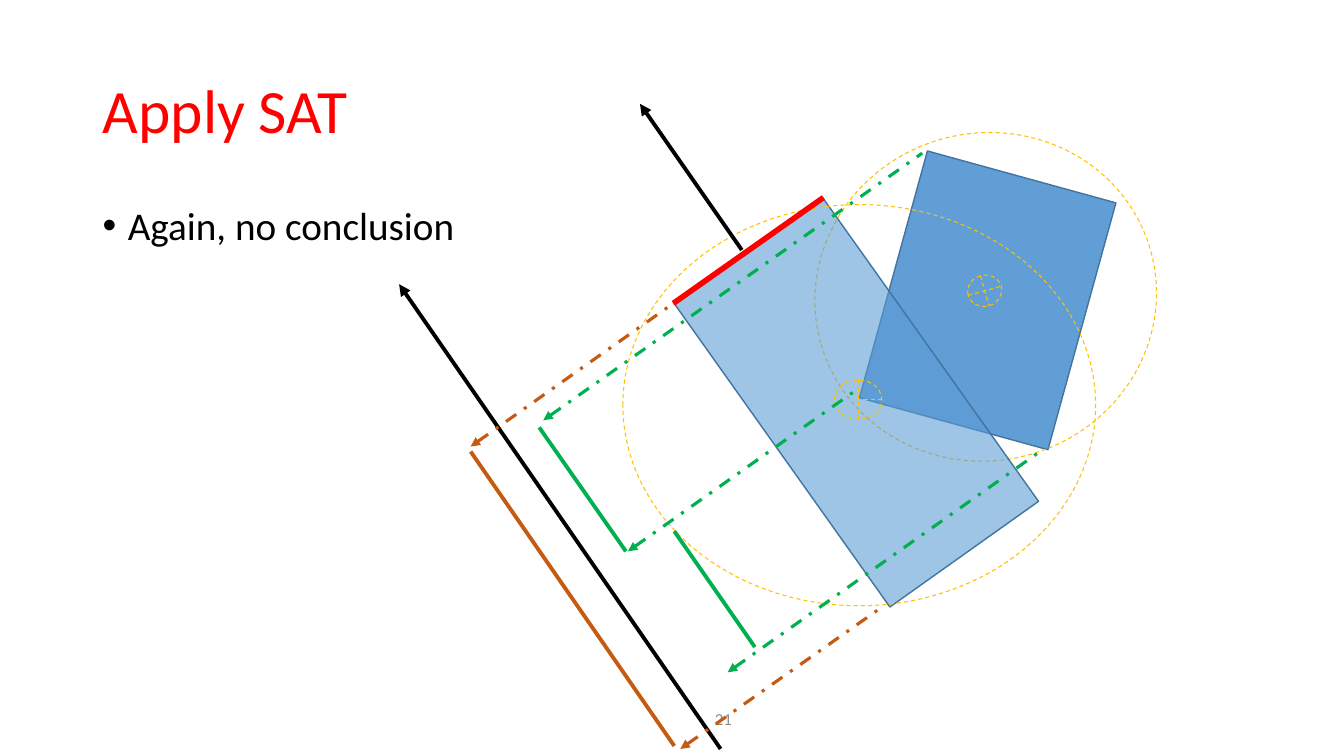
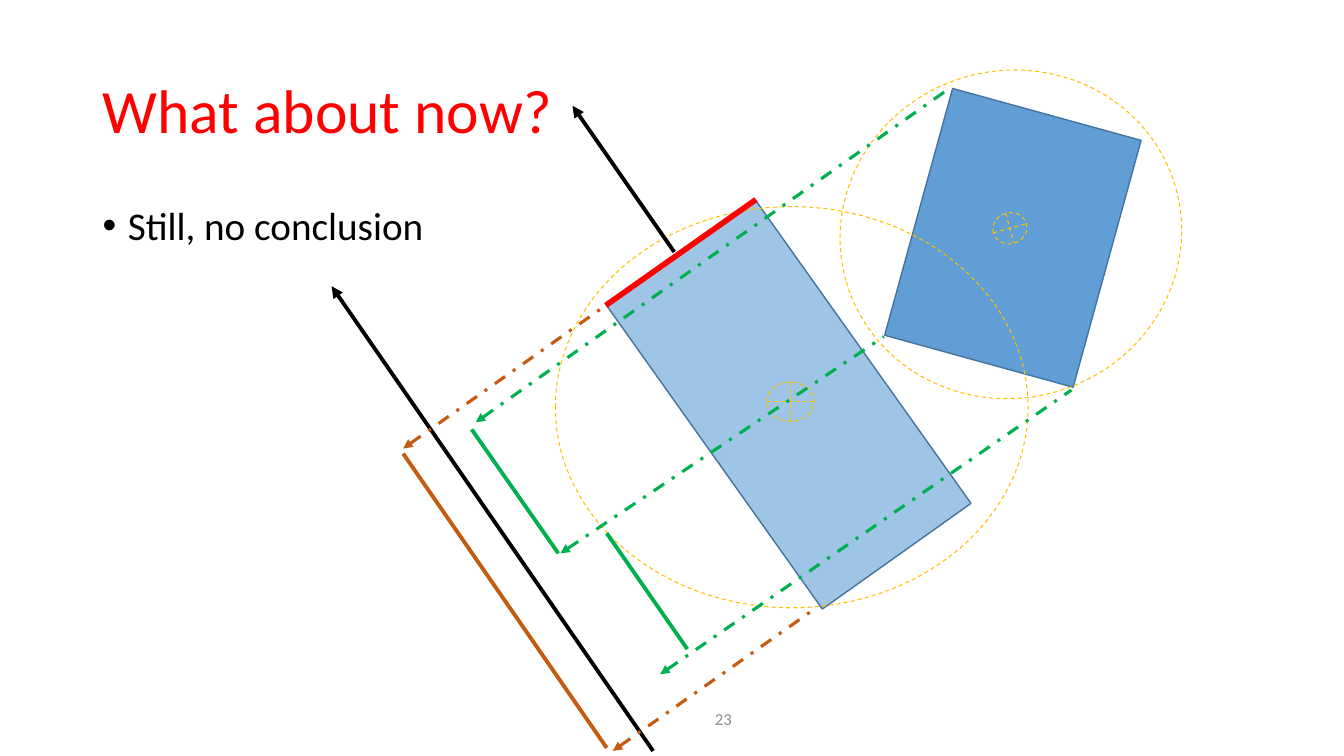
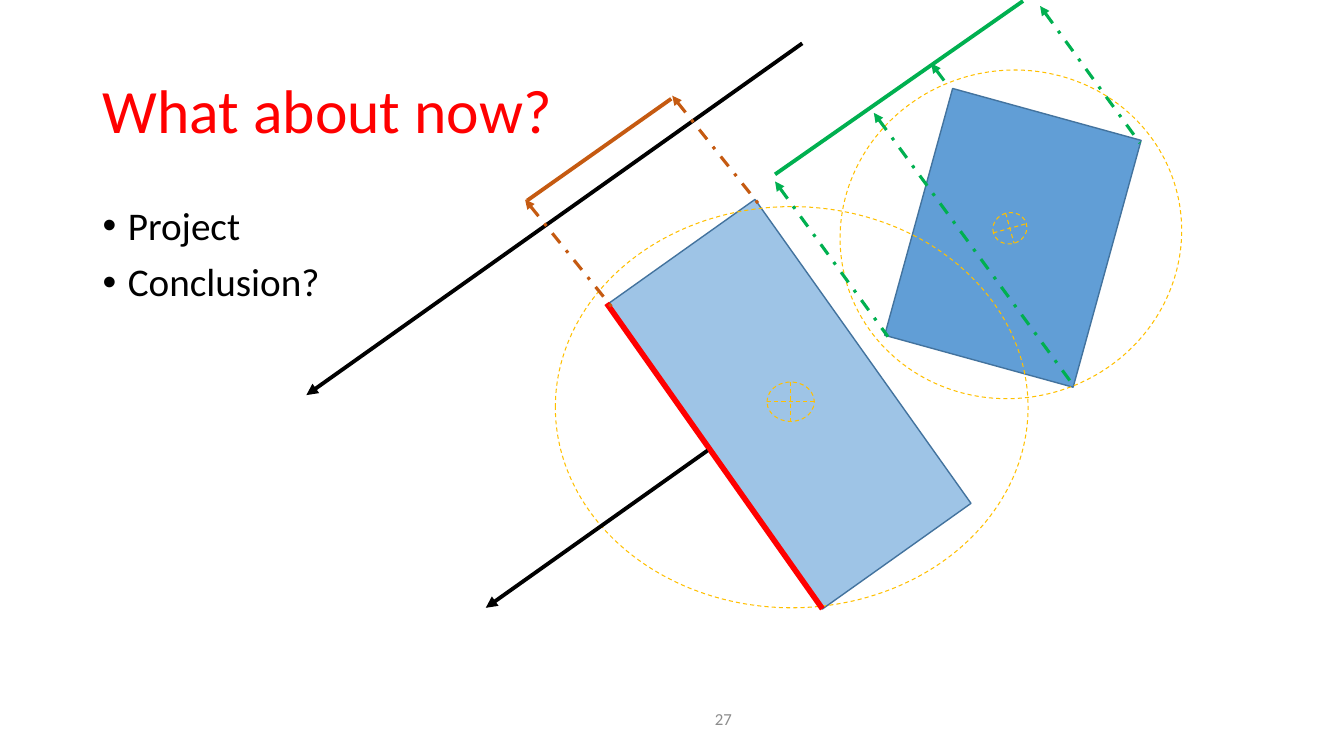
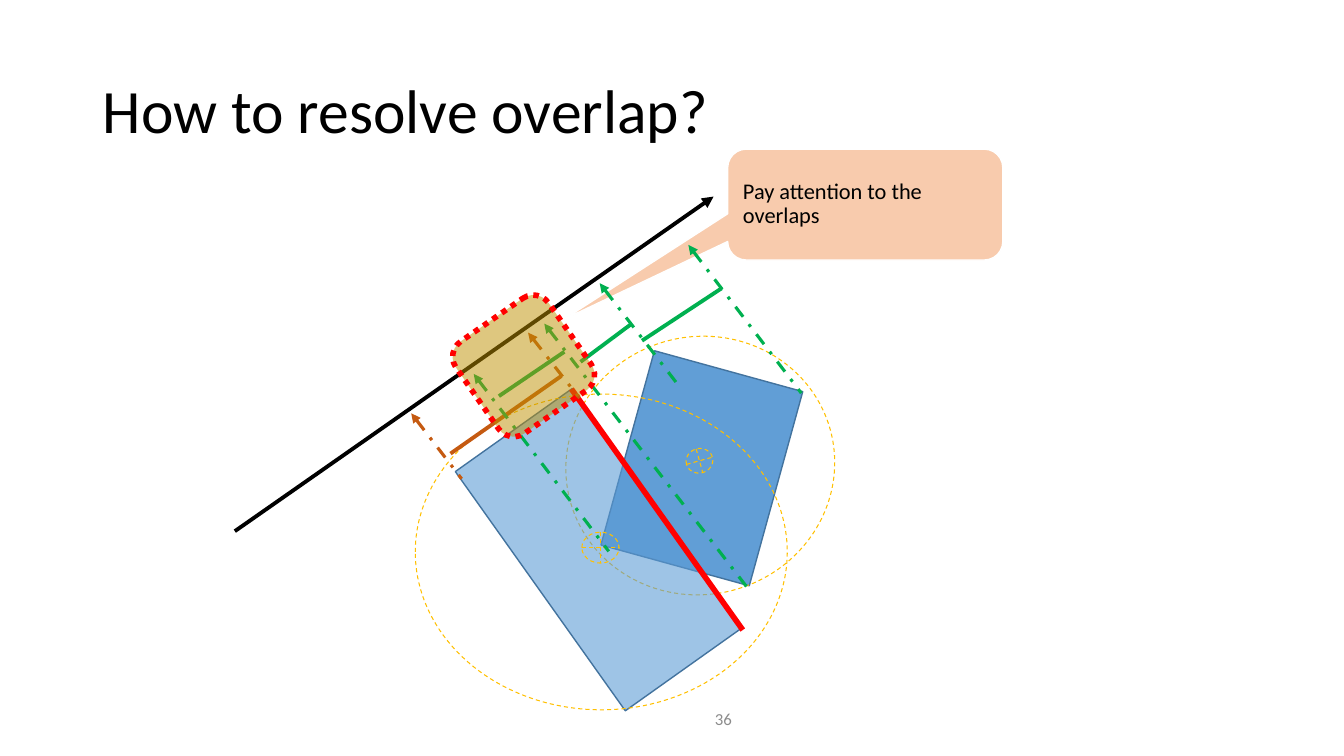
from pptx import Presentation
from pptx.dml.color import RGBColor
from pptx.enum.dml import MSO_LINE
from pptx.enum.shapes import MSO_CONNECTOR, MSO_SHAPE
from pptx.enum.text import MSO_ANCHOR, MSO_AUTO_SIZE, PP_ALIGN
from pptx.oxml.ns import qn
from pptx.util import Cm, Pt
from lxml import etree

FONT = "Calibri"
BLACK, RED, GREEN, BROWN = "000000", "FF0000", "00B050", "C55A11"
BLUE, NAVY, GOLD, GREY = "5B9BD5", "43739E", "FFC000", "8C8C8C"
OCHRE, PEACH, WHITE = "BF9000", "F8CBAD", "FFFFFF"

# Line styles: colour, width, dash, arrowhead
DASH_DOT = MSO_LINE.DASH_DOT
LINES = {
    "edge": (RED, 4, None, None),
    "axis": (BLACK, 2.75, None, "tailEnd"),
    "light ray": (BROWN, 2.25, DASH_DOT, "headEnd"),
    "light span": (BROWN, 2.75, None, None),
    "dark ray": (GREEN, 2.25, DASH_DOT, "headEnd"),
    "dark span": (GREEN, 2.75, None, None),
}

# Bodies: shape, left, top, width, height from the bounding circle, rotation; fill opacity
DARK_BODY = ([(MSO_SHAPE.RECTANGLE, 0.75, 0.39, 1.94, 2.54, 15.4),
              (MSO_SHAPE.OVAL, 0, 0, 3.4, 3.25, -15.6),
              (MSO_SHAPE.FLOWCHART_OR, 1.52, 1.41, 0.34, 0.31, -15.6)], 96)
LIGHT_BODY = ([(MSO_SHAPE.RECTANGLE, 1.41, 0.11, 1.81, 3.7, -35.4),
               (MSO_SHAPE.OVAL, 0, 0, 4.69, 3.98, 0),
               (MSO_SHAPE.FLOWCHART_OR, 2.1, 1.74, 0.47, 0.39, 0)], 59)


def short_edge_lines(x, y, corners):
    """Projection on the short edge's normal; rays run from the dark corners."""
    tips = [(0.05, 3.44), (1.04, 4.64), (-0.79, 2.14)]
    fixed = [
        ("edge", 0.5, 0.98, 1.99, -0.07),
        ("axis", 1.18, 0.45, 0.17, -1),
        ("axis", 0.97, 5.4, -2.22, 0.79),
        ("light ray", -1.51, 2.4, 0.5, 0.98),
        ("light ray", 0.57, 5.4, 2.56, 4),
        ("light span", 0.51, 5.37, -1.51, 2.45),
        ("dark span", 1.31, 4.39, 0.51, 3.24),
        ("dark span", 0.03, 3.44, -0.83, 2.21),
    ]
    return ([(kind, x + a, y + b, x + c, y + d) for kind, a, b, c, d in fixed]
            + [("dark ray", x + a, y + b, c, d)
               for (a, b), (c, d) in zip(tips, corners)])


# Content (places in inches)
SLIDES = [
    dict(title="Apply SAT", color=RED, number="21", bullets=["Again, no conclusion"],
         dark=(8.08, 1.32), light=(6.18, 2.03), scale=1,
         lines=short_edge_lines(6.18, 2.03, [(8.48, 3.88), (10.36, 4.45), (9.15, 1.52)])),
    dict(title="What about now?", color=RED, number="23", bullets=["Still, no conclusion"],
         dark=(8.33, 0.7), light=(5.51, 2.05), scale=1,
         lines=short_edge_lines(5.51, 2.05, [(8.77, 3.34), (10.63, 3.87), (9.43, 0.87)])),
    dict(title="What about now?", color=RED, number="27", bullets=["Project", "Conclusion?"],
         dark=(8.33, 0.7), light=(5.51, 2.05), scale=1,
         lines=[("edge", 8.16, 6.04, 6.02, 3.01),
                ("axis", 7.02, 4.47, 4.82, 6.03),
                ("axis", 7.96, 0.43, 3.04, 3.92),
                ("light ray", 5.21, 1.98, 6.09, 3.07),
                ("light span", 5.23, 1.99, 6.66, 0.98),
                ("light ray", 6.67, 0.95, 7.54, 2.04),
                ("dark ray", 7.69, 1.8, 8.81, 3.34),
                ("dark span", 10.15, 0.01, 7.69, 1.73),
                ("dark ray", 8.67, 1.12, 10.64, 3.81),
                ("dark ray", 9.24, 0.63, 9.42, 0.87),
                ("dark ray", 10.32, 0.06, 11.31, 1.42)]),
    dict(title="How to resolve overlap?", color=BLACK, number="36", bullets=[],
         dark=(5.61, 3.34), light=(4.12, 3.91), scale=0.787,
         callout="Pay attention to the overlaps",
         lines=[("edge", 5.67, 3.86, 7.37, 6.25),
                ("light ray", 4.08, 4.1, 4.58, 4.75),
                ("light span", 5.57, 3.73, 4.47, 4.5),
                ("dark ray", 5.95, 2.81, 6.76, 3.86),
                ("dark span", 6.37, 3.38, 7.16, 2.86),
                ("axis", 2.33, 5.27, 7.08, 1.95),
                ("light ray", 5.24, 3.3, 5.75, 3.95),
                ("dark ray", 6.83, 2.43, 7.95, 3.9),
                ("dark ray", 4.7, 3.71, 6.04, 5.47),
                ("dark ray", 5.4, 3.21, 7.43, 5.85),
                ("dark span", 5.76, 3.59, 6.27, 3.21),
                ("dark span", 4.95, 3.93, 5.6, 3.49)]),
]


def cm(*inches):
    return [Cm(v * 2.54) for v in inches]


def rgb(color):
    return RGBColor.from_string(color)


def add_sub(parent, tag, **attrs):
    return etree.SubElement(parent, qn(tag), attrs)


def write(tf, texts, size, color, align=PP_ALIGN.LEFT, spacing=0.9,
          anchor=MSO_ANCHOR.MIDDLE, bullet=False):
    tf.word_wrap = True
    tf.auto_size = MSO_AUTO_SIZE.NONE
    tf.vertical_anchor = anchor
    for i, text in enumerate(texts):
        p = tf.add_paragraph() if i else tf.paragraphs[0]
        if bullet:
            pPr = p._p.get_or_add_pPr()
            pPr.set("marL", str(Cm(0.635)))
            pPr.set("indent", str(-Cm(0.635)))
            add_sub(pPr, "a:buFont", typeface="Arial")
            add_sub(pPr, "a:buChar", char="•")
        p.alignment = align
        p.line_spacing = spacing
        if i:
            p.space_before = Pt(10)
        r = p.add_run()
        r.text = text
        r.font.name, r.font.size = FONT, Pt(size)
        r.font.color.rgb = rgb(color)


def add_text(s, box, texts, size, color, **style):
    tb = s.shapes.add_textbox(*cm(*box))
    write(tb.text_frame, texts, size, color, **style)


def add_shape(shapes, kind, box, line, width, fill=None, opacity=100, dash=None, rot=0):
    sp = shapes.add_shape(kind, *cm(*box))
    sp.shadow.inherit = False
    sp.rotation = rot
    if fill:
        sp.fill.solid()
        sp.fill.fore_color.rgb = rgb(fill)
        if opacity < 100:
            clr = sp._element.spPr.find(qn("a:solidFill")).find(qn("a:srgbClr"))
            add_sub(clr, "a:alpha", val=str(opacity * 1000))
    else:
        sp.fill.background()
    sp.line.color.rgb = rgb(line)
    sp.line.width = Pt(width)
    if dash:
        sp.line.dash_style = dash
    return sp


def add_body(s, body, origin, scale):
    parts, opacity = body
    group = s.shapes.add_group_shape()
    for kind, x, y, w, h, rot in parts:
        box = (origin[0] + x * scale, origin[1] + y * scale, w * scale, h * scale)
        if kind == MSO_SHAPE.RECTANGLE:
            add_shape(group.shapes, kind, box, NAVY, 1, BLUE, opacity, rot=rot)
        else:
            add_shape(group.shapes, kind, box, GOLD, 0.75, dash=MSO_LINE.DASH, rot=rot)


def add_line(s, kind, *ends):
    color, width, dash, arrow = LINES[kind]
    c = s.shapes.add_connector(MSO_CONNECTOR.STRAIGHT, *cm(*ends))
    c.line.color.rgb = rgb(color)
    c.line.width = Pt(width)
    if dash:
        c.line.dash_style = dash
    if arrow:
        add_sub(c.line._get_or_add_ln(), "a:" + arrow, type="triangle")
    add_sub(c._element.spPr, "a:effectLst")


def build_slide(prs, content):
    s = prs.slides.add_slide(prs.slide_layouts[5])
    # Title, number and bullets
    title = s.shapes.title
    title.left, title.top, title.width, title.height = cm(0.92, 0.4, 11.5, 1.45)
    write(title.text_frame, [content["title"]], 44, content["color"])
    add_text(s, (6.17, 6.93, 1.19, 0.4), [content["number"]], 12, GREY,
             align=PP_ALIGN.RIGHT, spacing=1)
    if content["bullets"]:
        add_text(s, (0.92, 2, 11.5, 4.76), content["bullets"], 28, BLACK,
                 anchor=MSO_ANCHOR.TOP, bullet=True)
    # Callout behind the drawing
    if "callout" in content:
        sp = add_shape(s.shapes, MSO_SHAPE.ROUNDED_RECTANGULAR_CALLOUT,
                       (7.22, 1.48, 2.73, 1.1), WHITE, 1, PEACH)
        for i, value in enumerate((-1.096, 1.036, 0.167)):
            sp.adjustments[i] = value
        write(sp.text_frame, [content["callout"]], 16, BLACK)
    # Bodies and their projections
    add_body(s, DARK_BODY, content["dark"], content["scale"])
    add_body(s, LIGHT_BODY, content["light"], content["scale"])
    for line in content["lines"]:
        add_line(s, *line)
    # Highlight over the overlapping spans
    if "callout" in content:
        add_shape(s.shapes, MSO_SHAPE.ROUNDED_RECTANGLE, (4.64, 3.07, 1.11, 1.12),
                  RED, 4, OCHRE, 50, MSO_LINE.ROUND_DOT, 55.2)


def main():
    prs = Presentation()
    prs.slide_width, prs.slide_height = Cm(33.87), Cm(19.05)
    for content in SLIDES:
        build_slide(prs, content)
    prs.save("out.pptx")


if __name__ == "__main__":
    main()
